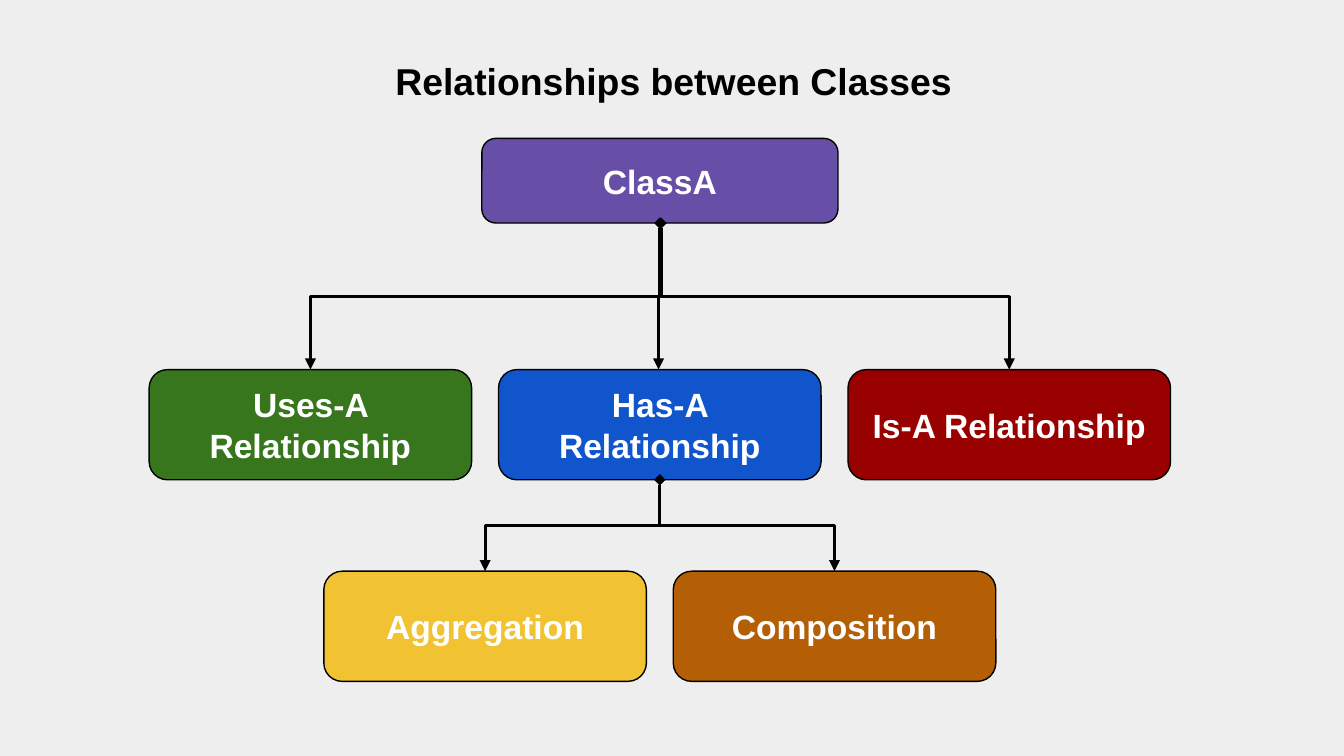
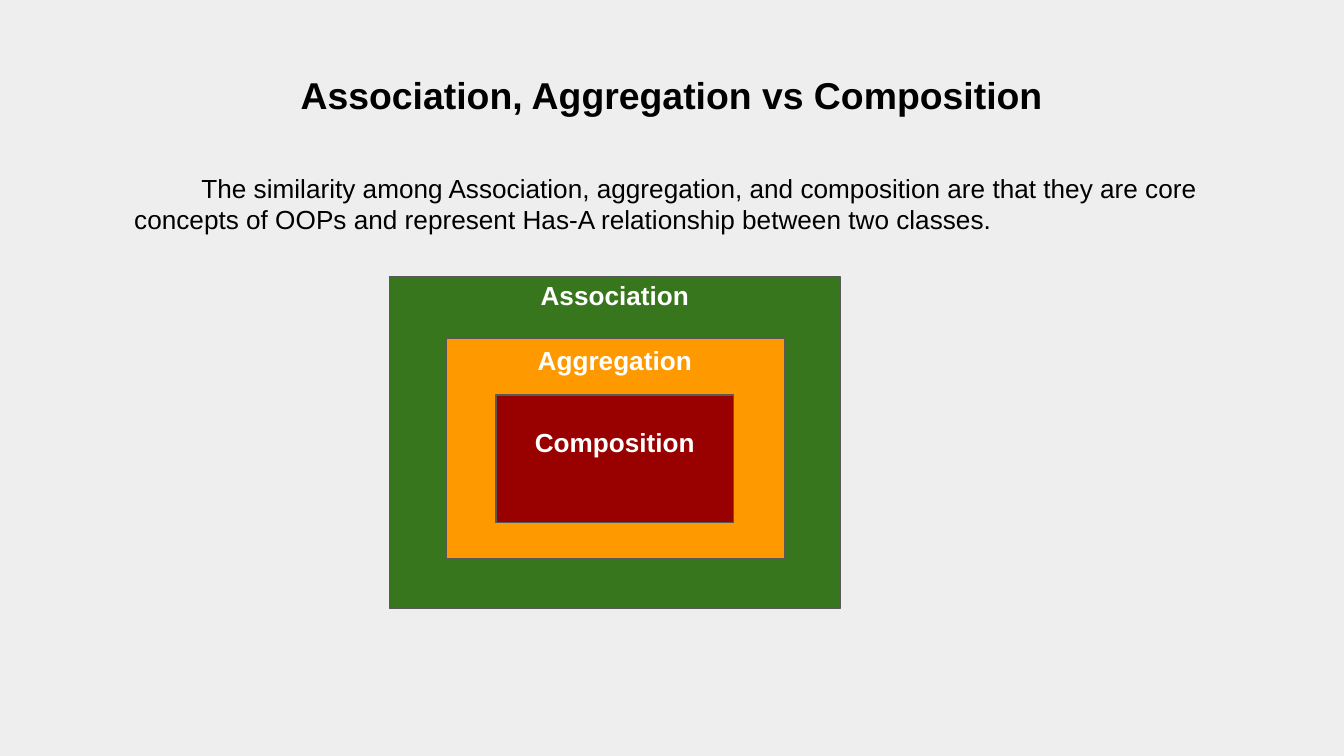
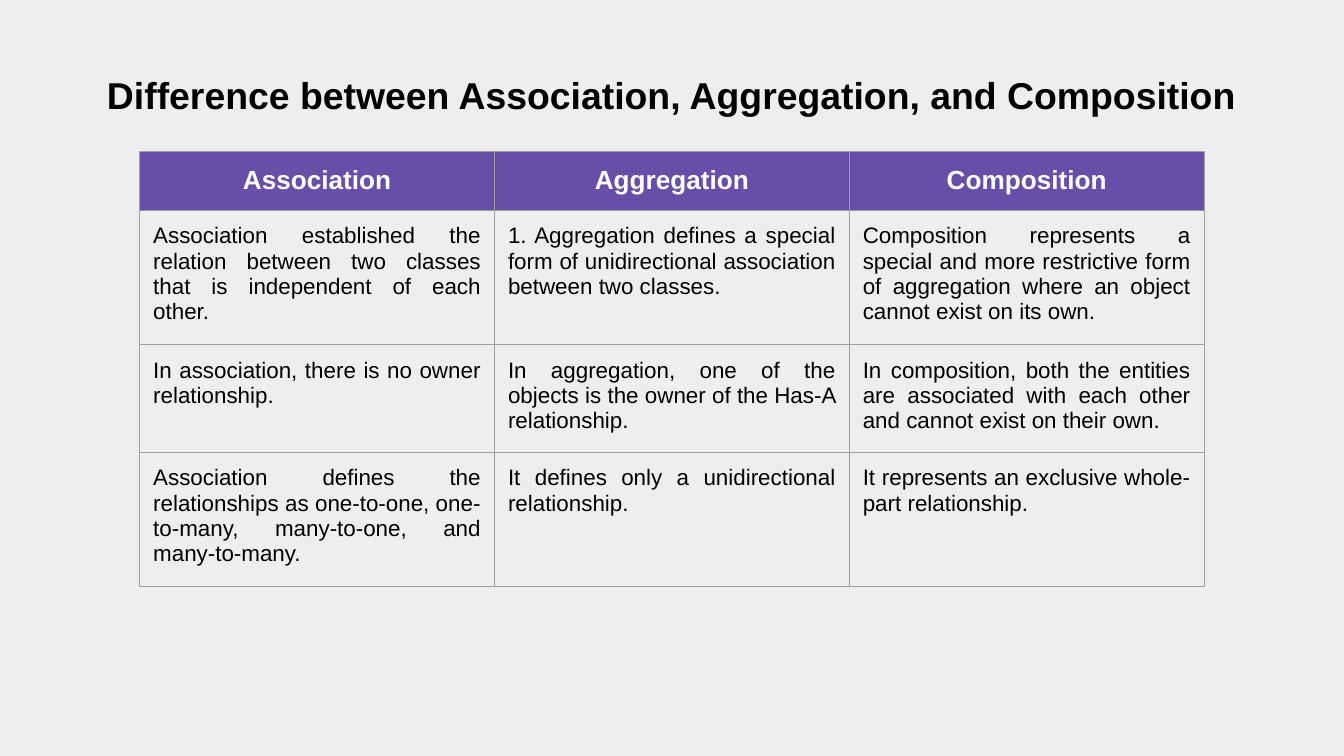
from lxml.etree import SubElement
from pptx import Presentation
from pptx.dml.color import RGBColor
from pptx.enum.shapes import MSO_CONNECTOR, MSO_SHAPE
from pptx.enum.text import MSO_ANCHOR, MSO_AUTO_SIZE, PP_ALIGN
from pptx.oxml.ns import qn
from pptx.util import Inches, Pt

WIDTH = 10
HEIGHT = WIDTH * 9 / 16
FONT = "Arial"
BLACK = RGBColor(0x00, 0x00, 0x00)
WHITE = RGBColor(0xFF, 0xFF, 0xFF)
PAPER = RGBColor(0xEE, 0xEE, 0xEE)
PURPLE = RGBColor(0x67, 0x4E, 0xA7)
GREEN = RGBColor(0x38, 0x76, 0x1D)
BLUE = RGBColor(0x11, 0x55, 0xCC)
RED = RGBColor(0x99, 0x00, 0x00)
YELLOW = RGBColor(0xF1, 0xC2, 0x32)
BROWN = RGBColor(0xB4, 0x5F, 0x06)
ORANGE = RGBColor(0xFF, 0x99, 0x00)
OUTLINE = RGBColor(0x59, 0x59, 0x59)
BORDER = RGBColor(0x9E, 0x9E, 0x9E)

TREE_TITLE = "Relationships between Classes"
TREE_CENTRE, TREE_STEP = 4.91, 2.6
ROOT = ("ClassA", PURPLE)
ROOT_TOP, ROOT_SIZE = 1.03, (2.65, 0.63)
BRANCH_TOP, LEAF_TOP, NODE_SIZE = 2.75, 4.25, (2.4, 0.82)
BRANCHES = [
    ("Has-A Relationship", BLUE, 0),
    ("Uses-A Relationship", GREEN, -1),
    ("Is-A Relationship", RED, 1),
]
LEAVES = [("Aggregation", YELLOW, -0.5), ("Composition", BROWN, 0.5)]

NEST_TITLE = "Association, Aggregation vs Composition"
NEST_TEXT = (
    "The similarity among Association, aggregation, and composition are that they are "
    "core concepts of OOPs and represent Has-A relationship between two classes."
)
NEST = [
    ("Association", GREEN, (2.9, 2.06, 3.35, 2.47), 1.98),
    ("Aggregation", ORANGE, (3.32, 2.52, 2.52, 1.64), 2.46),
    ("Composition", RED, (3.69, 2.94, 1.77, 0.95), 3.07),
]
LABEL_LEFT, LABEL_WIDTH, LABEL_HEIGHT = 3.69, 1.77, 0.44

TABLE_TITLE = "Difference between Association, Aggregation, and Composition"
TABLE_LEFT, TABLE_TOP, COLUMN_WIDTH, ROW_HEIGHT = 1.04, 1.13, 2.64, 0.42
TABLE_ROWS = [
    ("Association", "Aggregation", "Composition"),
    (
        "Association established the relation between two classes that is independent of each other.",
        "1. Aggregation defines a special form of unidirectional association between two classes.",
        "Composition represents a special and more restrictive form of aggregation where an object cannot exist on its own.",
    ),
    (
        "In association, there is no owner relationship.",
        "In aggregation, one of the objects is the owner of the Has-A relationship.",
        "In composition, both the entities are associated with each other and cannot exist on their own.",
    ),
    (
        "Association defines the relationships as one-to-one, one-to-many, many-to-one, and many-to-many.",
        "It defines only a unidirectional relationship.",
        "It represents an exclusive whole-part relationship.",
    ),
]


def write(frame, text, size=14, color=BLACK, bold=False, align=PP_ALIGN.CENTER,
          indent=0, line_spacing=None, space=None):
    para = frame.paragraphs[0]
    para.alignment = align
    if line_spacing:
        para.line_spacing = line_spacing
    if space:
        para.space_before = para.space_after = Pt(space)
    if indent:
        para._p.get_or_add_pPr().set("indent", str(Inches(indent)))
    span = para.add_run()
    span.text = text
    span.font.name = FONT
    span.font.size = Pt(size)
    span.font.bold = bold
    span.font.color.rgb = color


def set_margins(holder):
    holder.margin_left = holder.margin_right = Inches(0.1)
    holder.margin_top = holder.margin_bottom = Inches(0.1)


def add_text(shapes, area, text, **style):
    box = shapes.add_textbox(*map(Inches, area))
    frame = box.text_frame
    frame.word_wrap = True
    frame.auto_size = MSO_AUTO_SIZE.SHAPE_TO_FIT_TEXT
    set_margins(frame)
    write(frame, text, **style)


def add_box(shapes, kind, area, fill, line):
    box = shapes.add_shape(kind, *map(Inches, area))
    box.shadow.inherit = False
    box.fill.solid()
    box.fill.fore_color.rgb = fill
    box.line.color.rgb = line
    box.line.width = Pt(0.75)
    return box


def add_page(deck, title, area=(0, 0.39, WIDTH, 0.54), **style):
    page = deck.slides.add_slide(deck.slide_layouts[6])
    page.background.fill.solid()
    page.background.fill.fore_color.rgb = PAPER
    add_text(page.shapes, area, title, size=20, bold=True, **style)
    return page


def add_node(page, text, fill, centre, top, size):
    width, height = size
    box = add_box(page.shapes, MSO_SHAPE.ROUNDED_RECTANGLE,
                  (centre - width / 2, top, width, height), fill, BLACK)
    frame = box.text_frame
    frame.word_wrap = True
    frame.vertical_anchor = MSO_ANCHOR.MIDDLE
    set_margins(frame)
    write(frame, text, size=18, color=WHITE, bold=True)


def add_branch(page, start_x, start_y, end_x, end_y):
    drop, reach = end_y - start_y, abs(end_x - start_x)
    left = (start_x + end_x - drop) / 2
    top = (start_y + end_y - reach) / 2
    rightward = end_x > start_x
    begin, end = (left + drop, left) if rightward else (left, left + drop)
    branch = page.shapes.add_connector(
        MSO_CONNECTOR.ELBOW, *map(Inches, (begin, top, end, top + reach)))
    branch.line.color.rgb = BLACK
    branch.line.width = Pt(1.5)
    properties = branch._element.spPr
    properties.find(qn("a:xfrm")).set("rot", str((270 if rightward else 90) * 60000))
    line = properties.find(qn("a:ln"))
    SubElement(line, qn("a:headEnd"), type="diamond")
    SubElement(line, qn("a:tailEnd"), type="triangle")
    SubElement(properties, qn("a:effectLst"))


def build_tree(deck):
    page = add_page(deck, TREE_TITLE, area=(0.33, 0.33, 9.37, 0.54))
    add_node(page, *ROOT, TREE_CENTRE, ROOT_TOP, ROOT_SIZE)
    levels = [
        (BRANCHES, BRANCH_TOP, ROOT_TOP + ROOT_SIZE[1]),
        (LEAVES, LEAF_TOP, BRANCH_TOP + NODE_SIZE[1]),
    ]
    for nodes, top, parent_bottom in levels:
        for text, fill, offset in nodes:
            add_node(page, text, fill, TREE_CENTRE + offset * TREE_STEP, top, NODE_SIZE)
        for text, fill, offset in nodes:
            nudge = 0 if offset else 0.01
            add_branch(page, TREE_CENTRE + nudge, parent_bottom,
                       TREE_CENTRE + offset * TREE_STEP - nudge, top)


def build_nest(deck):
    page = add_page(deck, NEST_TITLE, line_spacing=1.15, space=12)
    add_text(page.shapes, (0.9, 1.18, 8.35, 0.67), NEST_TEXT, align=PP_ALIGN.LEFT, indent=0.5)
    group = page.shapes.add_group_shape()
    for text, fill, area, label_top in NEST:
        add_box(group.shapes, MSO_SHAPE.RECTANGLE, area, fill, OUTLINE)
    for text, fill, area, label_top in NEST:
        add_text(group.shapes, (LABEL_LEFT, label_top, LABEL_WIDTH, LABEL_HEIGHT), text,
                 color=WHITE, bold=True)


def add_borders(cell):
    properties = cell._tc.get_or_add_tcPr()
    for side in ("lnL", "lnR", "lnT", "lnB"):
        line = SubElement(properties, qn(f"a:{side}"), w=str(Pt(0.75)))
        fill = SubElement(line, qn("a:solidFill"))
        SubElement(fill, qn("a:srgbClr"), val=str(BORDER))


def build_table(deck):
    page = add_page(deck, TABLE_TITLE, line_spacing=1.15, space=12)
    rows, columns = len(TABLE_ROWS), len(TABLE_ROWS[0])
    table = page.shapes.add_table(
        rows, columns, Inches(TABLE_LEFT), Inches(TABLE_TOP),
        Inches(columns * COLUMN_WIDTH), Inches(rows * ROW_HEIGHT)).table
    table.first_row = table.horz_banding = False
    for row, texts in enumerate(TABLE_ROWS):
        for column, text in enumerate(texts):
            cell = table.cell(row, column)
            set_margins(cell)
            add_borders(cell)
            if row == 0:
                cell.fill.solid()
                cell.fill.fore_color.rgb = PURPLE
                write(cell.text_frame, text, color=WHITE, bold=True)
            else:
                cell.fill.background()
                write(cell.text_frame, text, size=12, align=PP_ALIGN.JUSTIFY)


def main():
    deck = Presentation()
    deck.slide_width, deck.slide_height = Inches(WIDTH), Inches(HEIGHT)
    build_tree(deck)
    build_nest(deck)
    build_table(deck)
    deck.save("out.pptx")


if __name__ == "__main__":
    main()
